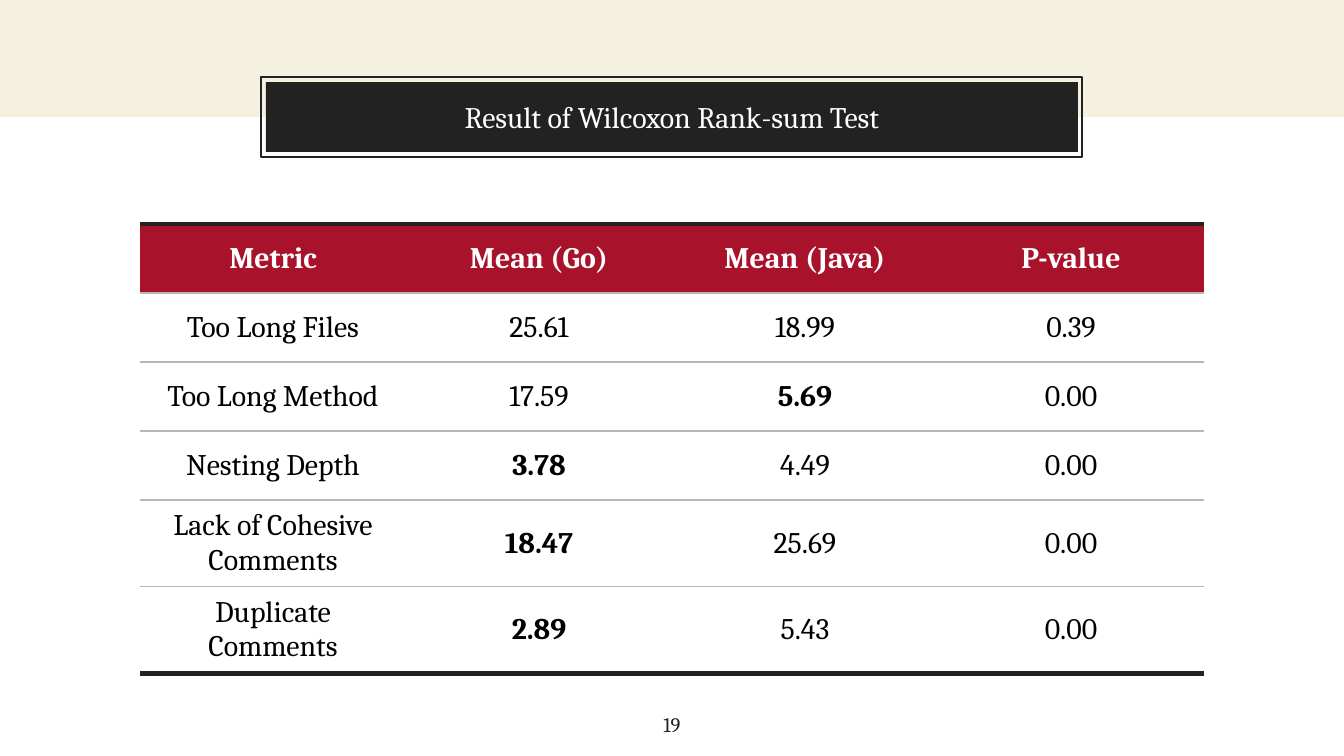
from dataclasses import dataclass

from lxml import etree
from pptx import Presentation
from pptx.dml.color import RGBColor
from pptx.enum.shapes import MSO_SHAPE
from pptx.enum.text import MSO_ANCHOR, PP_ALIGN
from pptx.oxml.ns import qn
from pptx.util import Pt

RECTANGLE = MSO_SHAPE.RECTANGLE
MIDDLE, TOP = MSO_ANCHOR.MIDDLE, MSO_ANCHOR.TOP
CENTER = PP_ALIGN.CENTER

SLIDE_W, SLIDE_H = 1344, 756
EMU_PER_PX = 9144000 / SLIDE_W
PAD, CELL_PAD_Y = 13, 9


@dataclass(frozen=True)
class Theme:
    font: str = "Cambria"
    dark: str = "222222"
    cream: str = "F5F1E0"
    red: str = "A8122A"
    rule: str = "B7B7B7"
    white: str = "FFFFFF"
    black: str = "000000"
    body_size: int = 16
    number_size: int = 11
    thin: float = 0.75
    thick: float = 3


THEME = Theme()

HEADER = ("Metric", "Mean (Go)", "Mean (Java)", "P-value")
# Each metric: its values and the column of the better mean, if significant
METRICS = (
    (("Too Long Files", "25.61", "18.99", "0.39"), None),
    (("Too Long Method", "17.59", "5.69", "0.00"), 2),
    (("Nesting Depth", "3.78", "4.49", "0.00"), 1),
    (("Lack of Cohesive Comments", "18.47", "25.69", "0.00"), 1),
    (("Duplicate Comments", "2.89", "5.43", "0.00"), 1),
)


def px(length):
    return round(length * EMU_PER_PX)


def rgb(color):
    return RGBColor.from_string(color)


def write(frame, text, color, size=THEME.body_size, bold=False):
    paragraph = frame.paragraphs[0]
    paragraph.alignment = CENTER
    run = paragraph.add_run()
    run.text = text
    run.font.name = THEME.font
    run.font.size = Pt(size)
    run.font.bold = bold
    run.font.color.rgb = rgb(color)


def set_frame(frame, anchor):
    frame.word_wrap = True
    frame.vertical_anchor = anchor
    frame.margin_left = frame.margin_right = px(PAD)
    frame.margin_top = frame.margin_bottom = px(PAD)


def add_box(slide, box, fill=None, line=None):
    shape = slide.shapes.add_shape(RECTANGLE, *map(px, box))
    shape.shadow.inherit = False
    if fill:
        shape.fill.solid()
        shape.fill.fore_color.rgb = rgb(fill)
    else:
        shape.fill.background()
    if line:
        shape.line.color.rgb = rgb(line)
        shape.line.width = Pt(THEME.thin)
    else:
        shape.line.fill.background()
    return shape


def set_borders(cell, top, bottom):
    """Rule a cell above and below; leave its sides open."""
    properties = cell._tc.get_or_add_tcPr()
    edges = (("a:lnL", None), ("a:lnR", None), ("a:lnT", top), ("a:lnB", bottom))
    for position, (tag, style) in enumerate(edges):
        edge = etree.Element(qn(tag))
        properties.insert(position, edge)
        if style:
            color, width = style
            edge.set("w", str(Pt(width)))
            fill = etree.SubElement(edge, qn("a:solidFill"))
            etree.SubElement(fill, qn("a:srgbClr"), val=color)
        else:
            etree.SubElement(edge, qn("a:noFill"))


def fill_cell(cell, text, color, bold, fill=None):
    cell.vertical_anchor = MIDDLE
    cell.margin_left = cell.margin_right = px(PAD)
    cell.margin_top = cell.margin_bottom = px(CELL_PAD_Y)
    if fill:
        cell.fill.solid()
        cell.fill.fore_color.rgb = rgb(fill)
    else:
        cell.fill.background()
    write(cell.text_frame, text, color, bold=bold)


def add_results_table(slide, left, top, column_width, row_height):
    row_count, column_count = len(METRICS) + 1, len(HEADER)
    size = column_width * column_count, row_height * row_count
    table = slide.shapes.add_table(
        row_count, column_count, px(left), px(top), *map(px, size)).table
    table.first_row = table.horz_banding = False
    for column in table.columns:
        column.width = px(column_width)
    for row in table.rows:
        row.height = px(row_height)

    # Header and metric values
    for column, label in enumerate(HEADER):
        fill_cell(table.cell(0, column), label, THEME.white, True, THEME.red)
    for row, (values, best) in enumerate(METRICS, start=1):
        for column, value in enumerate(values):
            fill_cell(table.cell(row, column), value, THEME.black, column == best)

    # Heavy outer rules, fine inner rules
    inner, outer = (THEME.rule, THEME.thin), (THEME.dark, THEME.thick)
    rules = [outer] + [inner] * (row_count - 1) + [outer]
    for row in range(row_count):
        for column in range(column_count):
            set_borders(table.cell(row, column), rules[row], rules[row + 1])


def add_title(slide, text):
    add_box(slide, (261, 77, 821, 80), line=THEME.dark)
    title = add_box(slide, (266, 82, 812, 70), fill=THEME.dark)
    set_frame(title.text_frame, MIDDLE)
    write(title.text_frame, text, THEME.white)


def add_page_number(slide, number):
    page_number = slide.shapes.add_textbox(*map(px, (632, 700, 80, 44)))
    set_frame(page_number.text_frame, TOP)
    write(page_number.text_frame, number, THEME.dark, THEME.number_size)


def main():
    presentation = Presentation()
    presentation.slide_width = px(SLIDE_W)
    presentation.slide_height = px(SLIDE_H)
    slide = presentation.slides.add_slide(presentation.slide_layouts[6])

    # Top band
    add_box(slide, (0, 0, SLIDE_W, 117), fill=THEME.cream)
    add_title(slide, "Result of Wilcoxon Rank-sum Test")
    add_results_table(slide, left=140, top=224, column_width=266, row_height=69)
    add_page_number(slide, "19")
    presentation.save("out.pptx")


if __name__ == "__main__":
    main()
